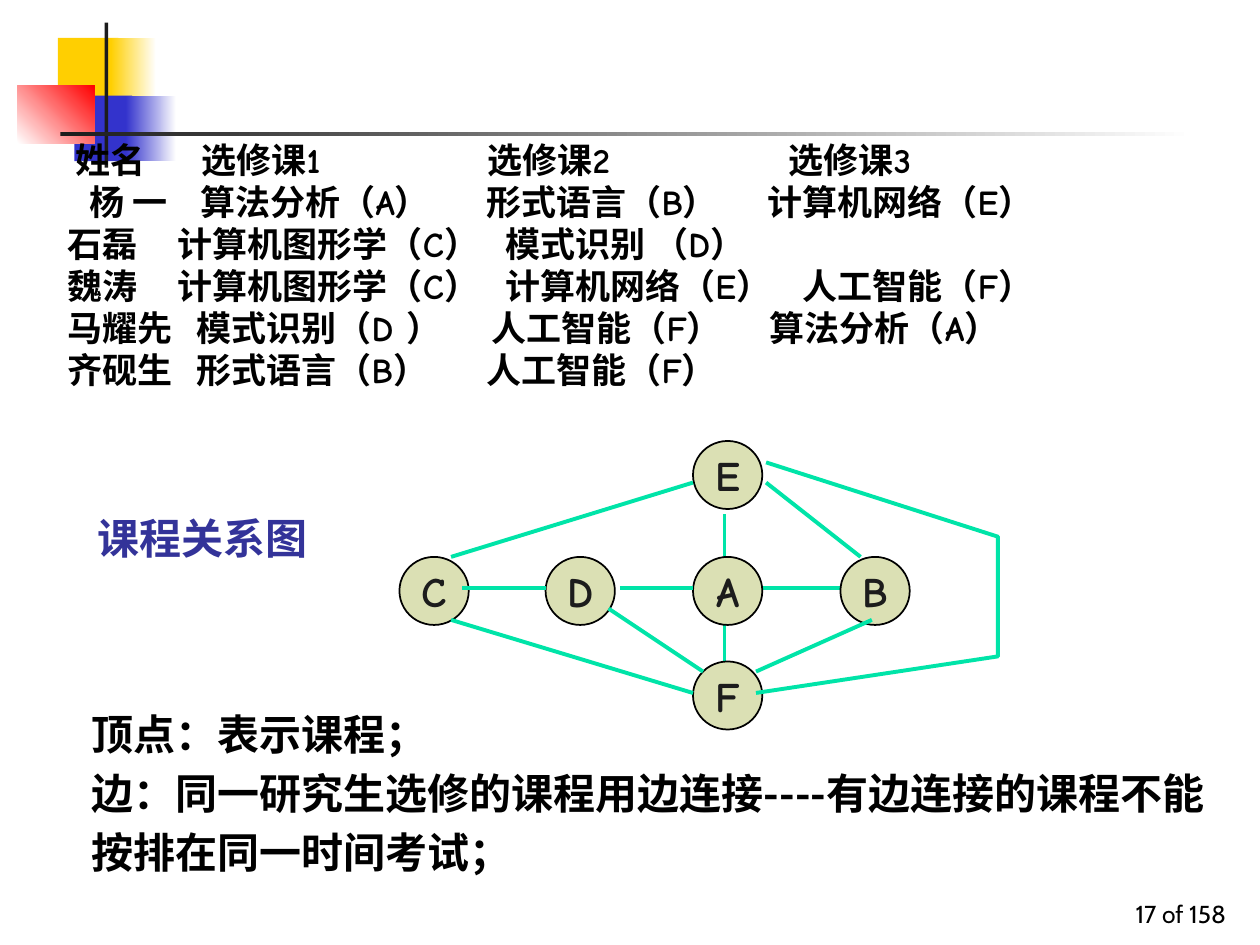
from dataclasses import dataclass
from lxml.etree import SubElement
from pptx import Presentation
from pptx.dml.color import RGBColor
from pptx.enum.shapes import MSO_CONNECTOR, MSO_SHAPE
from pptx.enum.text import MSO_ANCHOR, MSO_AUTO_SIZE, PP_ALIGN
from pptx.oxml.ns import qn
from pptx.util import Inches, Pt


@dataclass(frozen=True)
class Theme:
    gold: str = "FFCF01"
    blue: str = "3333CC"
    red: str = "FF0000"
    white: str = "FFFFFF"
    ink: str = "1C1C1C"
    black: str = "000000"
    title: str = "333399"
    node: str = "DBE0B4"
    edge: str = "00E4A8"
    hand: str = "Comic Neue"
    sans: str = "Cabin"
    han: str = "Noto Sans CJK SC"
    large: int = 24
    mid: int = 20
    small: int = 14
    lead: float = 33.6  # line pitch of large text
    pitch: int = 24     # line pitch of the course list


T = Theme()

# Left, top, width, height, colours, gradient angle
DECOR = [
    (0.46, 0.3, 0.48, 0.52, [T.gold], 0),
    (0.88, 0.3, 0.36, 0.52, [T.gold, T.white], 0),
    (0.59, 0.76, 0.46, 0.52, [T.blue], 0),
    (1, 0.76, 0.4, 0.52, [T.blue, T.white], 0),
    (0.14, 0.68, 0.61, 0.46, [T.white, T.red], 45),
    (0.83, 0.18, 0.03, 1.15, [T.ink], 0),
    (0.48, 1.05, 9, 0.03, [T.ink, T.white], 0),
]

# Cells of each row with their tab stops, measured from the text edge
COURSES = [
    (["姓名", "选修课1", "选修课2", "选修课3"], [0.25, 1.25, 3.52, 5.91]),
    (["杨 一", "算法分析（A）", "形式语言（B）", "计算机网络（E）"],
     [0.36, 1.24, 3.51, 5.74]),
    (["石磊", "计算机图形学（C）", "模式识别 （D）"], [0.19, 1.06, 3.66]),
    (["魏涛", "计算机图形学（C）", "计算机网络（E）", "人工智能（F）"],
     [0.19, 1.06, 3.66, 6.02]),
    (["马耀先", "模式识别（D ）", "人工智能（F）", "算法分析（A）"],
     [0.19, 1.21, 3.55, 5.76]),
    (["齐砚生", "形式语言（B）", "人工智能（F）"], [0.19, 1.21, 3.51]),
]

NOTES = ["顶点：表示课程；",
         "边：同一研究生选修的课程用边连接----有边连接的课程不能按排在同一时间考试；"]

NODES = {"D": (4.33, 4.42), "E": (5.5, 3.5), "F": (5.5, 5.25),
         "C": (3.17, 4.42), "B": (6.67, 4.42), "A": (5.5, 4.42)}

# Edges behind and in front of the nodes
BACK = [(6, 4.67, 6.67, 4.67), (5.75, 4.08, 5.75, 4.42),
        (5.75, 4.92, 5.75, 5.25)]
FRONT = [(3.67, 4.67, 4.33, 4.67), (5.5, 3.83, 3.58, 4.42),
         (4.92, 4.67, 5.5, 4.67), (3.58, 4.92, 5.5, 5.5),
         (6.92, 4.92, 6, 5.33), (6.08, 3.83, 6.83, 4.42),
         (4.83, 4.83, 5.58, 5.33)]
BEND = [(6.08, 3.67), (7.92, 4.26), (7.92, 5.21), (6, 5.5)]


def rgb(code):
    return RGBColor.from_string(code)


def place(shape, *box):
    shape.left, shape.top, shape.width, shape.height = map(Inches, box)


def setup(frame, anchor=MSO_ANCHOR.TOP):
    frame.word_wrap = True
    frame.auto_size = MSO_AUTO_SIZE.NONE
    frame.vertical_anchor = anchor


def add_run(para, text, size, color, face, bold=True):
    run = para.add_run()
    run.text = text
    font = run.font
    font.size, font.bold, font.name = Pt(size), bold, face
    font.color.rgb = rgb(color)
    SubElement(run._r.get_or_add_rPr(), qn("a:ea"), typeface=T.han)


def next_para(frame, num, lead):
    para = frame.add_paragraph() if num else frame.paragraphs[0]
    para.alignment = PP_ALIGN.LEFT
    para.line_spacing = Pt(lead)
    para.space_before = Pt(0)
    return para


def add_block(slide, left, top, width, height, colors, angle):
    block = slide.shapes.add_shape(
        MSO_SHAPE.RECTANGLE, *map(Inches, (left, top, width, height)))
    block.shadow.inherit = False
    block.line.fill.background()
    if len(colors) == 1:
        block.fill.solid()
        block.fill.fore_color.rgb = rgb(colors[0])
        return
    block.fill.gradient()
    block.fill.gradient_angle = angle
    for stop, color in zip(block.fill.gradient_stops, colors):
        stop.color.rgb = rgb(color)


def add_title(slide):
    title = slide.shapes.title
    place(title, 0.67, 3.95, 2.08, 0.56)
    setup(title.text_frame)
    para = next_para(title.text_frame, 0, T.lead)
    add_run(para, "课程关系图", T.large, T.title, T.han)


def add_notes(slide):
    body = slide.placeholders[1]
    place(body, 0.63, 5.51, 9.25, 1.5)
    setup(body.text_frame)
    for num, text in enumerate(NOTES):
        para = next_para(body.text_frame, num, T.lead)
        props = para._p.get_or_add_pPr()
        props.set("marL", "0")
        props.set("indent", "0")
        SubElement(props, qn("a:buNone"))
        add_run(para, text, T.large, T.black, T.han)


def add_list(slide):
    box = slide.shapes.add_textbox(*map(Inches, (0.25, 1.05, 9.42, 2.1)))
    setup(box.text_frame)
    for num, (cells, stops) in enumerate(COURSES):
        para = next_para(box.text_frame, num, T.pitch)
        tabs = SubElement(para._p.get_or_add_pPr(), qn("a:tabLst"))
        for stop in stops:
            SubElement(tabs, qn("a:tab"), pos=str(Inches(stop)), algn="l")
        for cell in cells:
            add_run(para, "\t" + cell, T.mid, T.black, T.hand)


def add_node(slide, name, left, top):
    node = slide.shapes.add_shape(
        MSO_SHAPE.OVAL, *map(Inches, (left, top, 0.55, 0.54)))
    node.shadow.inherit = False
    node.fill.solid()
    node.fill.fore_color.rgb = rgb(T.node)
    node.line.color.rgb = rgb(T.black)
    node.line.width = Pt(1)
    frame = node.text_frame
    frame.margin_left = frame.margin_right = 0
    frame.margin_top = frame.margin_bottom = 0
    setup(frame, MSO_ANCHOR.MIDDLE)
    para = frame.paragraphs[0]
    para.alignment = PP_ALIGN.CENTER
    add_run(para, name, T.large, T.ink, T.hand)


def ink_edge(shape):
    shape.line.color.rgb = rgb(T.edge)
    shape.line.width = Pt(2.25)


def add_edge(slide, *ends):
    edge = slide.shapes.add_connector(
        MSO_CONNECTOR.STRAIGHT, *map(Inches, ends))
    ink_edge(edge)
    SubElement(edge._element.spPr, qn("a:effectLst"))


def add_bend(slide):
    first, *rest = [(Inches(x), Inches(y)) for x, y in BEND]
    path = slide.shapes.build_freeform(*first)
    path.add_line_segments(rest, close=False)
    bend = path.convert_to_shape()
    bend.shadow.inherit = False
    bend.fill.background()
    ink_edge(bend)


def add_page(slide):
    box = slide.shapes.add_textbox(*map(Inches, (7.75, 6.92, 2.08, 0.5)))
    setup(box.text_frame, MSO_ANCHOR.BOTTOM)
    para = box.text_frame.paragraphs[0]
    para.alignment = PP_ALIGN.RIGHT
    add_run(para, "17 of 158", T.small, T.black, T.sans, False)


def main():
    deck = Presentation()
    deck.slide_width, deck.slide_height = Inches(10), Inches(7.5)
    slide = deck.slides.add_slide(deck.slide_layouts[1])
    # Corner ornament
    for item in DECOR:
        add_block(slide, *item)
    # Texts
    add_page(slide)
    add_title(slide)
    add_list(slide)
    add_notes(slide)
    # Course graph
    for ends in BACK:
        add_edge(slide, *ends)
    for name, spot in NODES.items():
        add_node(slide, name, *spot)
    for ends in FRONT:
        add_edge(slide, *ends)
    add_bend(slide)
    deck.save("out.pptx")


if __name__ == "__main__":
    main()
